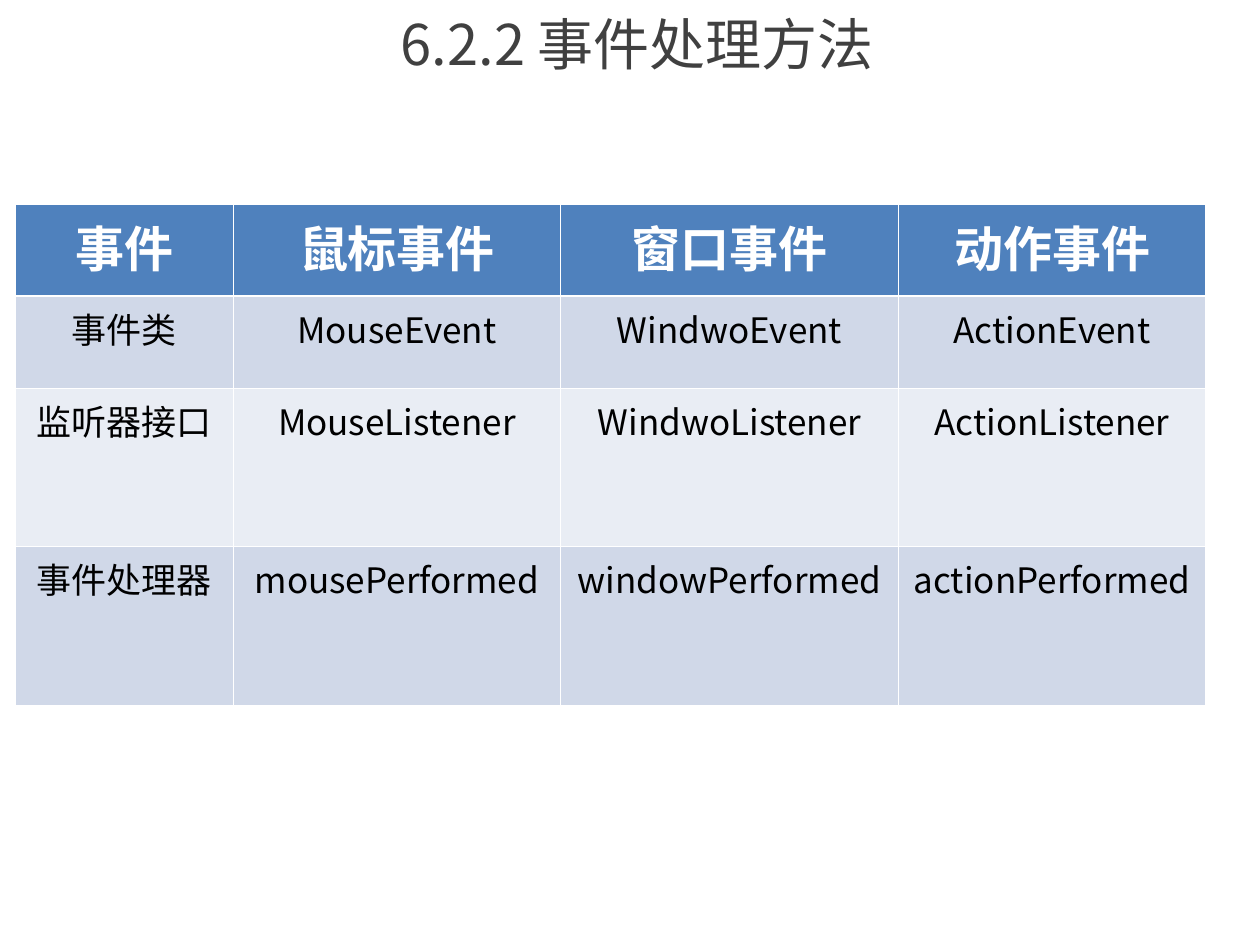
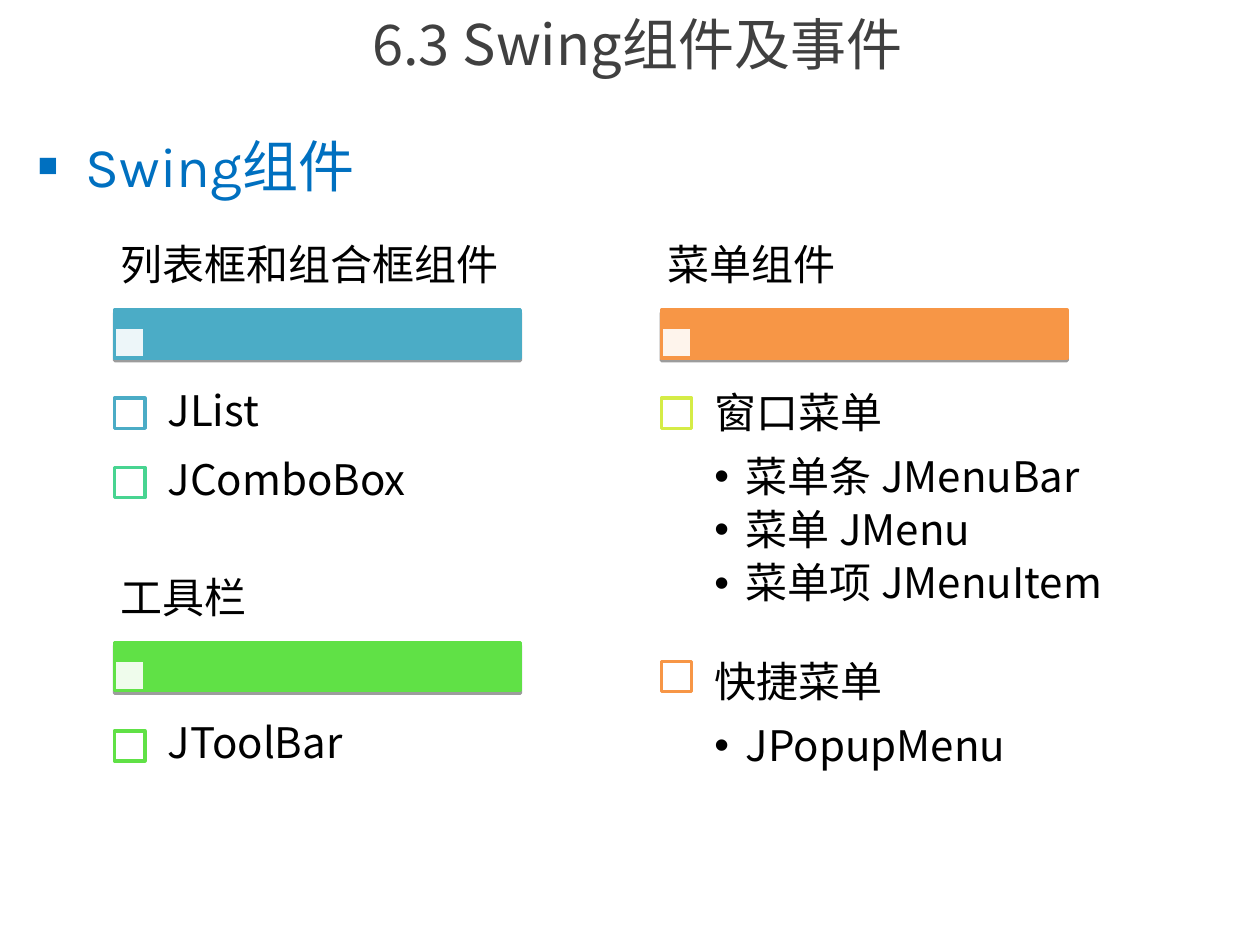
from dataclasses import dataclass

from lxml import etree
from pptx import Presentation
from pptx.dml.color import RGBColor
from pptx.enum.shapes import MSO_SHAPE as Shape
from pptx.enum.text import MSO_ANCHOR as Anchor, MSO_AUTO_SIZE as Fit, PP_ALIGN as Align
from pptx.oxml import parse_xml
from pptx.oxml.ns import nsdecls, qn
from pptx.util import Inches, Pt

HUES = {
    "white": "FFFFFF", "black": "000000", "title": "404040", "topic": "0070C0",
    "header": "4F81BD", "odd": "D0D8E8", "even": "E9EDF4",
    "teal": "4BACC6", "mint": "48D491", "green": "60E146",
    "lime": "D5EC46", "orange": "F79646",
}
FONT = "Noto Sans CJK SC"
LEFT, RIGHT = 0.91, 5.25
MARK = 0.24
BAR_W, BAR_H = 3.22, 0.38

COLS = (1.73, 2.6, 2.68, 2.44)
ROWS = (0.73, 0.73, 1.26, 1.26)
EVENTS = (
    ("事件", "鼠标事件", "窗口事件", "动作事件"),
    ("事件类", "MouseEvent", "WindwoEvent", "ActionEvent"),
    ("监听器接口", "MouseListener", "WindwoListener", "ActionListener"),
    ("事件处理器", "mousePerformed", "windowPerformed", "actionPerformed"),
)


@dataclass
class Head:
    text: str
    x: float
    y: float
    hue: str


@dataclass
class Item:
    text: str
    x: float
    y: float
    hue: str
    top: float
    high: float = 0.55
    wide: float = 3.0
    subs: tuple[str, ...] = ()


HEADS = (
    Head("列表框和组合框组件", LEFT, 2.46, "teal"),
    Head("工具栏", LEFT, 5.1, "green"),
    Head("菜单组件", RIGHT, 2.46, "orange"),
)
ITEMS = (
    Item("JList", LEFT, 3.16, "teal", 3.0),
    Item("JComboBox", LEFT, 3.71, "mint", 3.55),
    Item("JToolBar", LEFT, 5.8, "green", 5.64),
    Item("窗口菜单", RIGHT, 3.16, "lime", 3.09, 1.76, 4.03,
         ("菜单条 JMenuBar", "菜单 JMenu", "菜单项 JMenuItem")),
    Item("快捷菜单", RIGHT, 5.25, "orange", 5.09, 1.18, subs=("JPopupMenu",)),
)


def rgb(hue: str) -> RGBColor:
    return RGBColor.from_string(HUES[hue])


def shade(blur: float, dist: float, turn: int, alpha: int):
    """Build an effect list with one black outer shadow."""
    return parse_xml(
        f'<a:effectLst {nsdecls("a")}><a:outerShdw blurRad="{Pt(blur)}" '
        f'dist="{Pt(dist)}" dir="{turn * 60000}" algn="tl" rotWithShape="0">'
        f'<a:srgbClr val="{HUES["black"]}"><a:alpha val="{alpha * 1000}"/>'
        '</a:srgbClr></a:outerShdw></a:effectLst>')


def dot(para, char: str, hue: str, indent: float, size: int = 100) -> None:
    """Give a paragraph a hanging bullet."""
    props = para._p.get_or_add_pPr()
    props.set("marL", str(Inches(indent)))
    props.set("indent", str(-Inches(indent)))
    color = etree.SubElement(props, qn("a:buClr"))
    etree.SubElement(color, qn("a:srgbClr"), val=HUES[hue])
    etree.SubElement(props, qn("a:buSzPct"), val=str(size * 1000))
    etree.SubElement(props, qn("a:buFont"), typeface="Arial")
    etree.SubElement(props, qn("a:buChar"), char=char)


def write(para, text: str, *, size: float = 24, hue: str = "black",
          bold: bool = False, font: str = FONT, align=Align.LEFT,
          line: float = 1.0, after: float = 0, shadow: bool = False) -> None:
    para.alignment, para.line_spacing = align, line
    para.space_before, para.space_after = Pt(0), Pt(after)
    run = para.add_run()
    run.text = text
    face = run.font
    face.size, face.bold, face.name = Pt(size), bold, font
    face.color.rgb = rgb(hue)
    props = run._r.get_or_add_rPr()
    east = etree.Element(qn("a:ea"), typeface=FONT)
    props.find(qn("a:latin")).addnext(east)
    if shadow:
        props.find(qn("a:solidFill")).addnext(shade(0, 3, 45, 40))


def place(shape, x: float, y: float, wide: float, high: float) -> None:
    shape.left, shape.top = Inches(x), Inches(y)
    shape.width, shape.height = Inches(wide), Inches(high)


def start(deck, layout: int, title: str):
    """Add a slide with the shared title."""
    slide = deck.slides.add_slide(deck.slide_layouts[layout])
    head = slide.shapes.title
    place(head, 0.72, 0, 8.68, 0.68)
    frame = head.text_frame
    frame.auto_size, frame.vertical_anchor = Fit.NONE, Anchor.MIDDLE
    write(frame.paragraphs[0], title, size=32, hue="title",
          align=Align.CENTER, shadow=True)
    return slide


def box(slide, x: float, y: float, wide: float, high: float,
        fill: str, edge: str):
    shape = slide.shapes.add_shape(
        Shape.RECTANGLE, Inches(x), Inches(y), Inches(wide), Inches(high))
    shape.shadow.inherit = False
    shape.fill.solid()
    shape.fill.fore_color.rgb = rgb(fill)
    shape.line.color.rgb = rgb(edge)
    shape.line.width = Pt(2)
    return shape


def label(slide, x: float, y: float, wide: float, high: float,
          pad: tuple[float, float]):
    """Add a wrapped, middle-anchored text box and return its frame."""
    frame = slide.shapes.add_textbox(
        Inches(x), Inches(y), Inches(wide), Inches(high)).text_frame
    frame.word_wrap, frame.vertical_anchor = True, Anchor.MIDDLE
    frame.margin_left = frame.margin_right = Inches(pad[0])
    frame.margin_top = frame.margin_bottom = Inches(pad[1])
    return frame


def draw_head(slide, head: Head) -> None:
    bar = box(slide, head.x, head.y, BAR_W, BAR_H, head.hue, head.hue)
    props = bar._element.spPr
    props.replace(props.find(qn("a:effectLst")), shade(0, 1.6, 90, 38))
    mark = box(slide, head.x, head.y + BAR_H - MARK, MARK, MARK,
               "white", head.hue)
    color = mark._element.spPr.find(qn("a:solidFill"))[0]
    etree.SubElement(color, qn("a:alpha"), val="90000")
    frame = label(slide, head.x, head.y - 0.68, BAR_W, 0.68, (0.05, 0.03))
    write(frame.paragraphs[0], head.text, line=0.9, after=10.5)


def draw_item(slide, item: Item) -> None:
    box(slide, item.x, item.y, MARK, MARK, "white", item.hue)
    frame = label(slide, item.x + 0.23, item.top, item.wide, item.high,
                  (0.19, 0.19))
    write(frame.paragraphs[0], item.text, line=0.9, after=10.5)
    for text in item.subs:
        para = frame.add_paragraph()
        para.level = 1
        dot(para, "•", "black", 0.25)
        write(para, text, line=0.9, after=4.5)


def edge(cell, row: int) -> None:
    """Draw white cell borders, thicker below the header row."""
    props = cell._tc.get_or_add_tcPr()
    thick = {"T": row == 1, "B": row == 0}
    for spot, side in enumerate("LRTB"):
        width = Pt(1.47 if thick.get(side) else 0.45)
        props.insert(spot, parse_xml(
            f'<a:ln{side} {nsdecls("a")} w="{width}"><a:solidFill>'
            f'<a:srgbClr val="{HUES["white"]}"/></a:solidFill></a:ln{side}>'))


def draw_table(slide) -> None:
    table = slide.shapes.add_table(
        len(ROWS), len(COLS), Inches(0.12), Inches(1.62),
        Inches(sum(COLS)), Inches(sum(ROWS))).table
    table.horz_banding = False
    for col, wide in zip(table.columns, COLS):
        col.width = Inches(wide)
    for row, high in enumerate(ROWS):
        table.rows[row].height = Inches(high)
        top = row == 0
        fill = "header" if top else "odd" if row % 2 else "even"
        for col, text in enumerate(EVENTS[row]):
            cell = table.cell(row, col)
            cell.fill.solid()
            cell.fill.fore_color.rgb = rgb(fill)
            edge(cell, row)
            write(cell.text_frame.paragraphs[0], text, bold=top,
                  size=28 if top else 20, hue="white" if top else "black",
                  align=Align.CENTER)


def draw_swing(slide) -> None:
    body = slide.placeholders[1]
    place(body, 0.2, 0.99, 9.61, 6.38)
    body.text_frame.auto_size = Fit.NONE
    para = body.text_frame.paragraphs[0]
    dot(para, "■", "topic", 0.38, 60)
    write(para, "Swing组件", size=32, hue="topic", font="Karla")
    for head in HEADS:
        draw_head(slide, head)
    for item in ITEMS:
        draw_item(slide, item)


def main() -> None:
    deck = Presentation()
    deck.slide_width, deck.slide_height = Inches(10), Inches(7.5)
    draw_table(start(deck, 5, "6.2.2 事件处理方法"))
    draw_swing(start(deck, 1, "6.3 Swing组件及事件"))
    deck.save("out.pptx")


if __name__ == "__main__":
    main()
